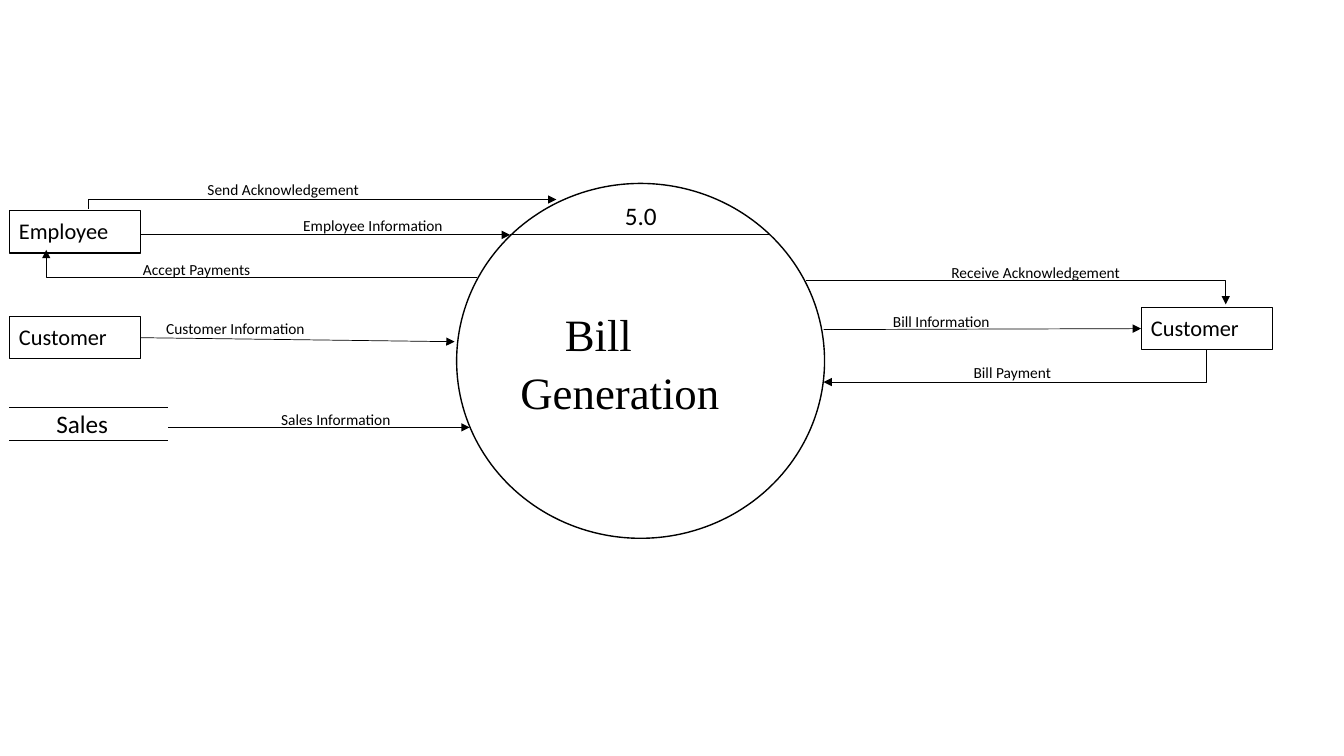
from lxml import etree
from pptx import Presentation
from pptx.dml.color import RGBColor
from pptx.enum.shapes import MSO_CONNECTOR, MSO_SHAPE
from pptx.enum.text import MSO_ANCHOR, PP_ALIGN
from pptx.oxml.ns import qn
from pptx.util import Inches, Pt

STRAIGHT, ELBOW = MSO_CONNECTOR.STRAIGHT, MSO_CONNECTOR.ELBOW
RECT, OVAL = MSO_SHAPE.RECTANGLE, MSO_SHAPE.OVAL
TOP, MIDDLE = MSO_ANCHOR.TOP, MSO_ANCHOR.MIDDLE
LEFT = PP_ALIGN.LEFT
COLORS = {"ink": "000000", "paper": "FFFFFF"}
SANS, SERIF = "Calibri", "Times New Roman"
CELL = Inches(0.1)
COLS, ROWS = 133.33, 75
LABEL_H = 2.9
ENTITY_W, ENTITY_H = 13, 4.2
AT_START, AT_END = 0, 100000
LEFT_SIDE, RIGHT_SIDE = 1, 3


def cells(*counts):
    return [round(n * CELL) for n in counts]


def rgb(name):
    return RGBColor.from_string(COLORS[name])


def write(tf, text, size, font=SANS):
    p = tf.paragraphs[0]
    p.text = text
    p.alignment = LEFT
    p.font.size = Pt(size)
    p.font.name = font
    p.font.color.rgb = rgb("ink")
    return p


def add_label(s, origin, x, y, w, text, size=11, h=LABEL_H, wrap=False):
    tb = s.shapes.add_textbox(*cells(origin[0] + x, origin[1] + y, w, h))
    tb.text_frame.word_wrap = wrap
    write(tb.text_frame, text, size)


def add_node(s, kind, box, text, size, line_width, font=SANS, anchor=TOP):
    sp = s.shapes.add_shape(kind, *cells(*box))
    sp.shadow.inherit = False
    sp.fill.solid()
    sp.fill.fore_color.rgb = rgb("paper")
    sp.line.color.rgb = rgb("ink")
    sp.line.width = Pt(line_width)
    tf = sp.text_frame
    tf.word_wrap = True
    tf.vertical_anchor = anchor
    p = write(tf, text, size, font)
    p.line_spacing = 1.07
    p.space_after = Pt(8)
    return sp


def add_entity(s, origin, x, y, text):
    box = (origin[0] + x, origin[1] + y, ENTITY_W, ENTITY_H)
    return add_node(s, RECT, box, text, 16, 0.75)


def add_flow(s, origin, start, end, bend=None, arrow=True):
    ox, oy = origin
    kind = STRAIGHT if bend is None else ELBOW
    ends = cells(ox + start[0], oy + start[1], ox + end[0], oy + end[1])
    c = s.shapes.add_connector(kind, *ends)
    c.line.color.rgb = rgb("ink")
    c.line.width = Pt(0.5)
    props = c.element.spPr
    if bend is not None:
        guides = props.find(qn("a:prstGeom")).find(qn("a:avLst"))
        etree.SubElement(guides, qn("a:gd"), name="adj1", fmla=f"val {bend}")
    if arrow:
        etree.SubElement(props.find(qn("a:ln")), qn("a:tailEnd"), type="triangle")
    etree.SubElement(props, qn("a:effectLst"))
    return c


def draw_process(s, box):
    sp = add_node(s, OVAL, box, "Bill Generation", 32, 1, SERIF, MIDDLE)
    indent = sp.text_frame.paragraphs[0]._p.get_or_add_pPr()
    indent.set("marL", "0")
    indent.set("indent", str(Inches(0.44)))
    origin = box[:2]
    add_flow(s, origin, (5.3, 5.1), (31.1, 5.1), arrow=False)
    add_label(s, origin, 15.7, 1.2, 5.2, "5.0", 18, 4)


def draw_sources(s, origin):
    add_entity(s, origin, 0, 3.5, "Employee")
    customer = add_entity(s, origin, 0, 14, "Customer")
    add_flow(s, origin, (7.9, 3.3), (54.3, 2.4), AT_START)
    add_flow(s, origin, (13, 5.9), (49.7, 5.9))
    add_flow(s, origin, (46.4, 10.1), (3.7, 7.4), AT_END)
    customer_flow = add_flow(s, origin, (13, 16.1), (44.2, 16.5))
    customer_flow.begin_connect(customer, RIGHT_SIDE)
    add_flow(s, origin, (15.8, 25), (45.7, 25))
    for y in (23, 26.3):
        add_flow(s, origin, (0, y), (15.8, y), arrow=False)
    add_label(s, origin, 3.7, 22.6, 14.8, "Sales", 18, 4, True)
    for x, y, w, text in (
        (18.7, 0, 17.5, "Send Acknowledgement"),
        (28.2, 3.5, 16, "Employee Information"),
        (12.3, 7.9, 12.8, "Accept Payments"),
        (14.6, 13.8, 15.9, "Customer Information"),
        (26, 22.8, 13, "Sales Information"),
    ):
        add_label(s, origin, x, y, w, text)


def draw_recipient(s, origin):
    customer = add_entity(s, origin, 33.2, 4.9, "Customer")
    add_flow(s, origin, (0, 2.2), (41.6, 4.6), AT_END)
    bill_flow = add_flow(s, origin, (1.7, 7.1), (33.2, 7))
    bill_flow.end_connect(customer, LEFT_SIDE)
    add_flow(s, origin, (39.7, 9.1), (1.7, 12.3), AT_START)
    for x, y, w, text in (
        (13.4, 0, 19.7, "Receive Acknowledgement"),
        (7.6, 4.9, 15.9, "Bill Information"),
        (15.6, 9.9, 12.8, "Bill Payment"),
    ):
        add_label(s, origin, x, y, w, text, wrap=True)


def main():
    prs = Presentation()
    prs.slide_width, prs.slide_height = cells(COLS, ROWS)
    s = prs.slides.add_slide(prs.slide_layouts[6])
    draw_process(s, (45.3, 18.2, 36.5, 35.2))
    draw_sources(s, (0.9, 17.4))
    draw_recipient(s, (80, 25.6))
    prs.save("out.pptx")


if __name__ == "__main__":
    main()
